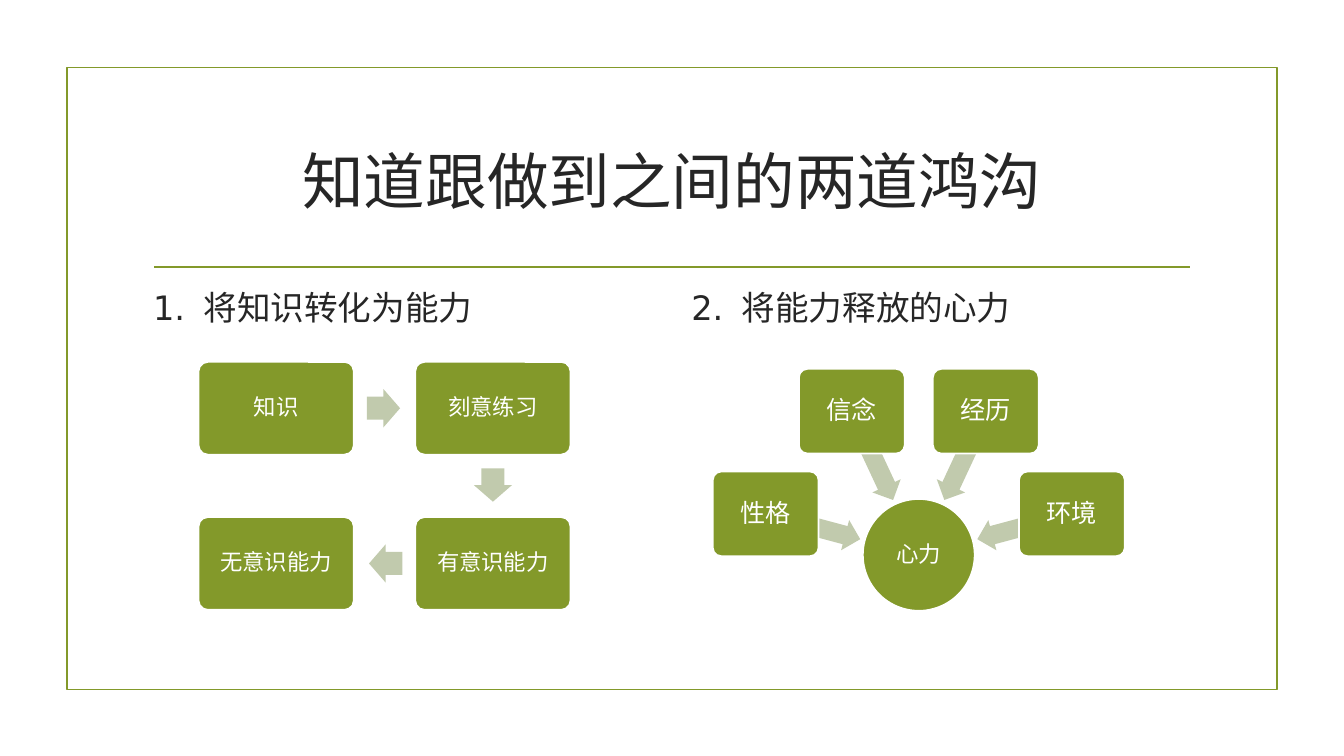
import math
from dataclasses import dataclass

from lxml import etree
from pptx import Presentation
from pptx import util as u
from pptx.dml import color
from pptx.enum import shapes, text
from pptx.oxml import ns

# The slide is a grid of 160 columns by 90 rows of square cells
COLUMNS, ROWS = 160, 90
CELL = u.Inches(7.5) / ROWS


@dataclass(frozen=True)
class Theme:
    green: str = "83992A"
    sage: str = "C1CAAD"
    ink: str = "262626"
    white: str = "FFFFFF"
    title_font: str = "Courier New"
    body_font: str = "DejaVu Sans"
    title_size: float = 44
    heading_size: float = 24
    spoke_size: float = 18
    node_size: float = 16
    line_width: float = 1.25


@dataclass(frozen=True)
class Node:
    label: str
    x: float  # centre column
    y: float  # centre row
    width: float
    height: float
    size: float
    kind: shapes.MSO_SHAPE = shapes.MSO_SHAPE.ROUNDED_RECTANGLE


@dataclass(frozen=True)
class Arrow:
    kind: shapes.MSO_SHAPE
    x: float
    y: float
    width: float
    height: float
    angle: float


@dataclass(frozen=True)
class Heading:
    label: str
    left: float


THEME = Theme()


def cells(*values: float) -> list[u.Emu]:
    return [u.Emu(round(value * CELL)) for value in values]


def rgb(value: str) -> color.RGBColor:
    return color.RGBColor.from_string(value)


def write(frame, content: str, *, size: float, ink: str, font: str = THEME.body_font,
          align=text.PP_ALIGN.CENTER, anchor=text.MSO_ANCHOR.MIDDLE,
          spacing: float = 1.0, hanging: float = 0):
    frame.word_wrap = True
    frame.vertical_anchor = anchor
    paragraph = frame.paragraphs[0]
    paragraph.alignment = align
    paragraph.line_spacing = spacing
    if hanging:
        indent = cells(hanging)[0]
        properties = paragraph._p.get_or_add_pPr()
        properties.set("marL", str(indent))
        properties.set("indent", str(-indent))
    run = paragraph.add_run()
    run.text = content
    run.font.name = font
    run.font.size = u.Pt(size)
    run.font.color.rgb = rgb(ink)


def add_preset(slide, kind: shapes.MSO_SHAPE, x: float, y: float, width: float,
               height: float, fill: str | None = None, line: str | None = None):
    """Draw a preset shape centred on column x and row y."""
    preset = slide.shapes.add_shape(
        kind, *cells(x - width / 2, y - height / 2, width, height))
    preset.shadow.inherit = False
    if fill:
        preset.fill.solid()
        preset.fill.fore_color.rgb = rgb(fill)
    else:
        preset.fill.background()
    if line:
        preset.line.color.rgb = rgb(line)
        preset.line.width = u.Pt(THEME.line_width)
    else:
        preset.line.fill.background()
    return preset


def draw_node(slide, node: Node) -> None:
    box = add_preset(slide, node.kind, node.x, node.y, node.width, node.height,
                     THEME.green, THEME.white)
    if node.kind == shapes.MSO_SHAPE.ROUNDED_RECTANGLE:
        box.adjustments[0] = 0.1
    frame = box.text_frame
    frame.margin_left = frame.margin_right = cells(0.5)[0]
    frame.margin_top = frame.margin_bottom = cells(0.5)[0]
    write(frame, node.label, size=node.size, ink=THEME.white, spacing=0.9)


def draw_arrow(slide, arrow: Arrow) -> None:
    block = add_preset(slide, arrow.kind, arrow.x, arrow.y, arrow.width,
                       arrow.height, THEME.sage)
    block.adjustments[0] = 0.6
    block.adjustments[1] = 0.5
    block.rotation = arrow.angle


def draw_frame(slide) -> None:
    add_preset(slide, shapes.MSO_SHAPE.RECTANGLE, COLUMNS / 2, 45.06, 144, 74.04,
               line=THEME.green)
    rule = slide.shapes.add_connector(
        shapes.MSO_CONNECTOR.STRAIGHT, *cells(18.36, 31.8, 141.72, 31.8))
    rule.line.color.rgb = rgb(THEME.green)
    rule.line.width = u.Pt(THEME.line_width)
    etree.SubElement(rule._element.spPr, ns.qn("a:effectLst"))


def draw_texts(slide) -> None:
    title = slide.shapes.add_textbox(*cells(17.04, 12.84, 126, 17.16))
    write(title.text_frame, "知道跟做到之间的两道鸿沟", size=THEME.title_size,
          ink=THEME.ink, font=THEME.title_font)
    for heading in (Heading("1.\t将知识转化为能力", 17.04),
                    Heading("2.\t将能力释放的心力", 81.12)):
        box = slide.shapes.add_textbox(*cells(heading.left, 33.6, 61.92, 43.44))
        write(box.text_frame, heading.label, size=THEME.heading_size, ink=THEME.ink,
              align=text.PP_ALIGN.LEFT, anchor=text.MSO_ANCHOR.TOP, hanging=6)


def draw_ability_flow(slide) -> None:
    """Four steps clockwise around a two by two grid."""
    steps = (("知识", 0, 0), ("刻意练习", 1, 0), ("有意识能力", 1, 1), ("无意识能力", 0, 1))
    nodes = [Node(label, 32.88 + 25.8 * column, 48.6 + 18.48 * row,
                  18.48, 11.04, THEME.node_size) for label, column, row in steps]
    for node in nodes:
        draw_node(slide, node)
    for turn, (start, end) in enumerate(zip(nodes, nodes[1:])):
        share = 0.495  # arrows sit just short of halfway
        draw_arrow(slide, Arrow(shapes.MSO_SHAPE.RIGHT_ARROW,
                                start.x + share * (end.x - start.x),
                                start.y + share * (end.y - start.y),
                                3.96, 4.56, 90 * turn))


def draw_willpower_hub(slide) -> None:
    """Four factors on an arc, each pointing at the hub."""
    hub = Node("心力", 109.38, 66.06, 13.32, 13.32, THEME.node_size,
               shapes.MSO_SHAPE.OVAL)
    draw_node(slide, hub)
    for index, label in enumerate(("性格", "信念", "经历", "环境")):
        angle = 195 + 50 * index
        across, down = math.cos(math.radians(angle)), math.sin(math.radians(angle))
        draw_arrow(slide, Arrow(shapes.MSO_SHAPE.LEFT_ARROW, hub.x + 13.04 * across,
                                hub.y + 13.04 * down, 11.64, 3.72, angle))
        draw_node(slide, Node(label, hub.x + 18.87 * across, hub.y + 18.87 * down,
                              12.6, 10.08, THEME.spoke_size))


def main() -> None:
    deck = Presentation()
    deck.slide_width, deck.slide_height = cells(COLUMNS, ROWS)
    slide = deck.slides.add_slide(deck.slide_layouts[6])
    draw_frame(slide)
    draw_texts(slide)
    draw_ability_flow(slide)
    draw_willpower_hub(slide)
    deck.save("out.pptx")


if __name__ == "__main__":
    main()
